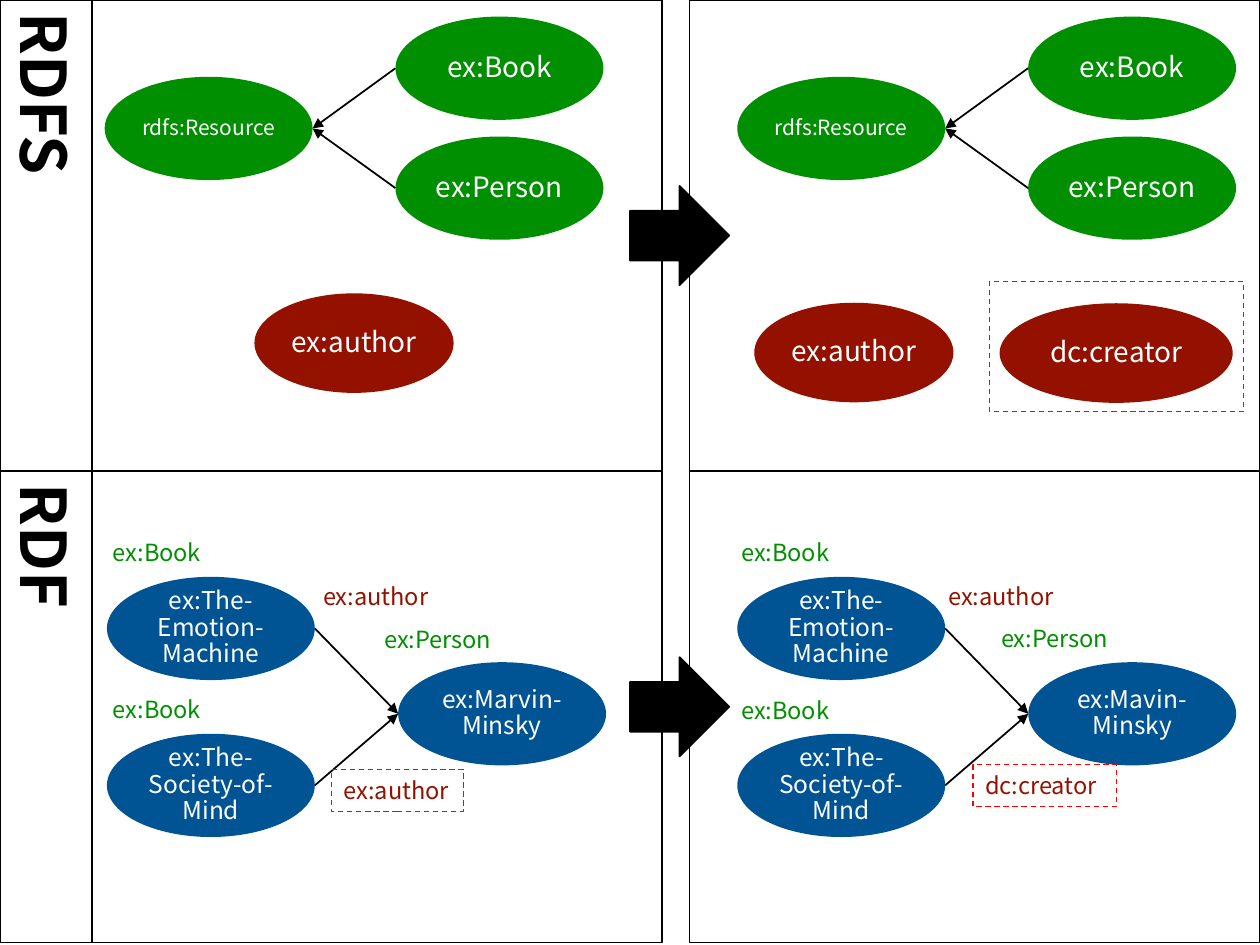
from dataclasses import dataclass

from lxml.etree import SubElement
from pptx import Presentation
from pptx.dml.color import RGBColor
from pptx.enum.dml import MSO_LINE
from pptx.enum.shapes import MSO_CONNECTOR, MSO_SHAPE
from pptx.enum.text import MSO_ANCHOR, MSO_AUTO_SIZE, PP_ALIGN
from pptx.oxml.ns import qn
from pptx.util import Pt

FONT = "Noto Sans CJK JP"
GREEN, RED, BLUE = "008F00", "941100", "005493"
BLACK, WHITE, DASH = "000000", "FFFFFF", "FF0000"
ROW, SIDE, PANEL = 269.3, 52.5, 326
OVAL_W, OVAL_H = 118.8, 59


@dataclass
class Oval:
    """An ellipse with its name inside."""
    text: str
    x: float
    y: float
    fill: str
    size: float = 16
    w: float = OVAL_W
    h: float = OVAL_H


@dataclass
class Label:
    """A small caption, with or without a dashed frame."""
    text: str
    x: float
    y: float
    w: float
    color: str
    framed: bool = False


deck = Presentation()
deck.slide_width, deck.slide_height = Pt(720), Pt(540)
slide = deck.slides.add_slide(deck.slide_layouts[6])


def rgb(code: str) -> RGBColor:
    """Turn a hex string into a colour."""
    return RGBColor.from_string(code)


def add_form(kind, x: float, y: float, w: float, h: float,
             fill: str = "", line: str = "", width: float = 1):
    """Add a preset shape; an empty colour means none."""
    form = slide.shapes.add_shape(kind, Pt(x), Pt(y), Pt(w), Pt(h))
    form.shadow.inherit = False
    if fill:
        form.fill.solid()
        form.fill.fore_color.rgb = rgb(fill)
    else:
        form.fill.background()
    if line:
        form.line.color.rgb = rgb(line)
        form.line.width = Pt(width)
    else:
        form.line.fill.background()
    return form


def write(form, text: str, size: float, color: str, frame: dict, para: dict,
          bold: bool = False) -> None:
    """Put one paragraph of text into a shape."""
    box = form.text_frame
    line = box.paragraphs[0]
    run = line.add_run()
    run.text = text
    run.font.color.rgb = rgb(color)
    font = {"name": FONT, "size": Pt(size), "bold": bold}
    for part, values in ((box, frame), (line, para), (run.font, font)):
        for key, value in values.items():
            setattr(part, key, value)


def add_oval(oval: Oval) -> None:
    """Draw a named ellipse."""
    form = add_form(MSO_SHAPE.OVAL, oval.x, oval.y, oval.w, oval.h, oval.fill)
    edges = ("margin_left", "margin_top", "margin_right", "margin_bottom")
    frame = {edge: Pt(0.7) for edge in edges}
    frame |= {"word_wrap": True, "vertical_anchor": MSO_ANCHOR.MIDDLE}
    para = {"alignment": PP_ALIGN.CENTER, "line_spacing": 0.9}
    write(form, oval.text, oval.size, WHITE, frame, para)


def add_label(label: Label) -> None:
    """Draw a caption."""
    place = (label.x, label.y, label.w, 23.8)
    if label.framed:
        form = add_form(MSO_SHAPE.RECTANGLE, *place, line=DASH, width=0.75)
        form.line.dash_style = MSO_LINE.DASH
    else:
        form = slide.shapes.add_textbox(*map(Pt, place))
    frame = {"word_wrap": False, "auto_size": MSO_AUTO_SIZE.SHAPE_TO_FIT_TEXT,
             "vertical_anchor": MSO_ANCHOR.TOP}
    write(form, label.text, 13.5, label.color, frame,
          {"alignment": PP_ALIGN.LEFT})


def add_link(tip: tuple, end: tuple) -> None:
    """Draw a line with an arrowhead at its tip."""
    link = slide.shapes.add_connector(MSO_CONNECTOR.STRAIGHT,
                                      *map(Pt, (*tip, *end)))
    link.line.color.rgb = rgb(BLACK)
    link.line.width = Pt(1)
    SubElement(link.line._get_or_add_ln(), qn("a:headEnd"), type="triangle")
    SubElement(link._element.spPr, qn("a:effectLst"))


def add_tree(hub: Oval, leaves: list) -> None:
    """Draw a hub, its leaves and the links that point to the hub."""
    for leaf in leaves:
        left, right = sorted((hub, leaf), key=lambda oval: oval.x)
        ends = {id(left): (left.x + left.w, left.y + left.h / 2),
                id(right): (right.x, right.y + right.h / 2)}
        add_link(ends[id(hub)], ends[id(leaf)])
    for oval in (hub, *leaves):
        add_oval(oval)


def add_row(title: str, y: float) -> None:
    """Draw a row: title cell, two panels and the arrow between them."""
    for x, w in ((SIDE, PANEL), (0, SIDE), (720 - PANEL, PANEL)):
        cell = add_form(MSO_SHAPE.RECTANGLE, x, y, w, ROW, WHITE, BLACK)
        if x == 0:
            cell.text_frame._txBody.bodyPr.set("vert", "eaVert")
            write(cell, title, 36, BLACK,
                  {"vertical_anchor": MSO_ANCHOR.MIDDLE},
                  {"alignment": PP_ALIGN.CENTER}, True)
    add_form(MSO_SHAPE.RIGHT_ARROW, 360, y + 106.3, 56.7, 56.7, BLACK, BLACK)


for row, title in enumerate(("RDFS", "RDF")):
    add_row(title, row * ROW)

for x in (59.8, 421.3):
    add_tree(Oval("rdfs:Resource", x, 43.9, GREEN, 12),
             [Oval("ex:Book", x + 166.2, 9.5, GREEN),
              Oval("ex:Person", x + 166.2, 78, GREEN)])

for x, hub_x, name in ((61.1, 227.5, "ex:Marvin-Minsky"),
                       (421.3, 587.6, "ex:Mavin-Minsky")):
    add_tree(Oval(name, hub_x, 378.4, BLUE, 14),
             [Oval("ex:The-Emotion-Machine", x, 329.6, BLUE, 14),
              Oval("ex:The-Society-of-Mind", x, 419.3, BLUE, 14)])

for oval in (Oval("ex:author", 145.4, 167.6, RED, w=113.8, h=56.9),
             Oval("ex:author", 431, 173, RED, w=113.8, h=56.9),
             Oval("dc:creator", 571.2, 173.3, RED, w=133.2, h=56.9)):
    add_oval(oval)

for label in (Label("ex:Book", 57.5, 304, 66, GREEN),
              Label("ex:Book", 57.5, 393.8, 66, GREEN),
              Label("ex:author", 177.5, 329, 75.6, RED),
              Label("ex:Person", 212.5, 353.5, 78.5, GREEN),
              Label("ex:author", 189.4, 439.8, 75.6, RED, True),
              Label("ex:Book", 416.5, 304, 66, GREEN),
              Label("ex:Book", 416.5, 394, 66, GREEN),
              Label("ex:author", 534.8, 328.8, 75.6, RED),
              Label("ex:Person", 565, 353, 78.5, GREEN),
              Label("dc:creator", 556, 437, 82, RED, True)):
    add_label(label)

focus = add_form(MSO_SHAPE.RECTANGLE, 565.3, 161, 145.4, 74.2,
                 line=DASH, width=0.75)
focus.line.dash_style = MSO_LINE.DASH

deck.save("out.pptx")
